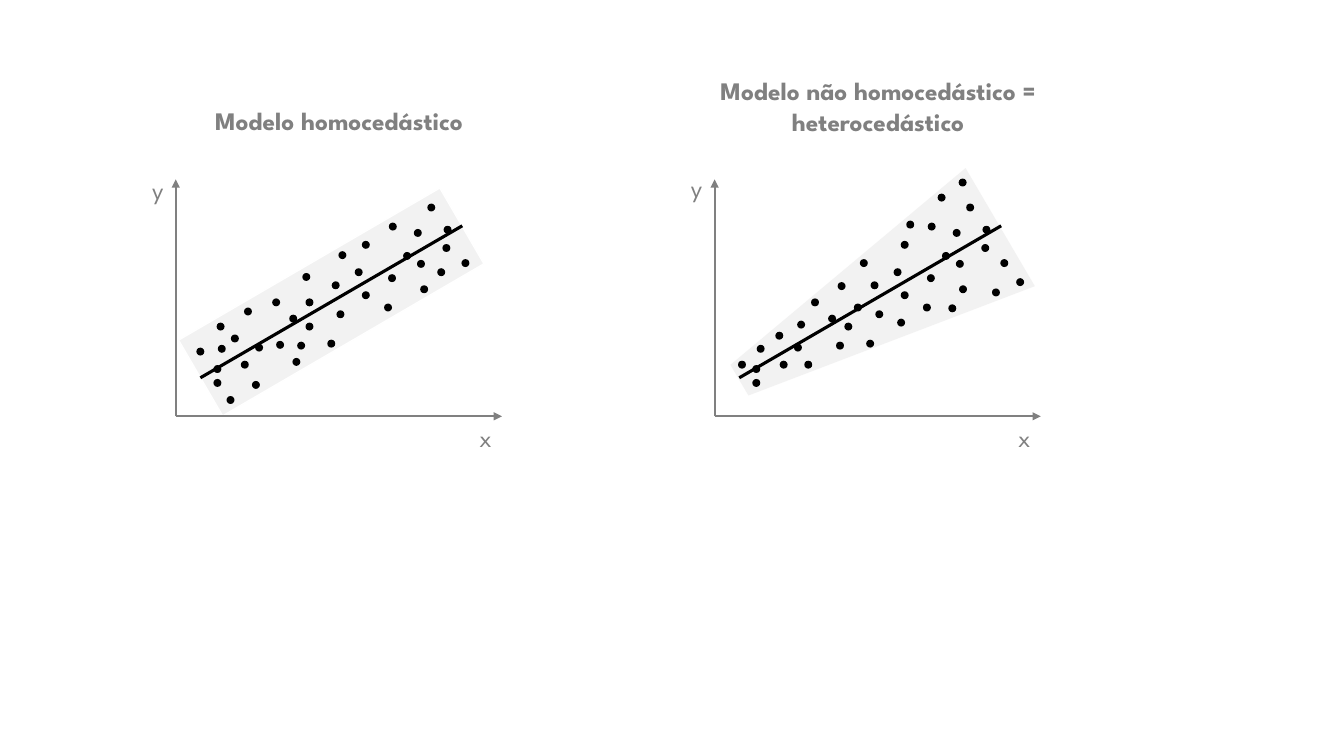
from dataclasses import dataclass

from lxml.etree import SubElement
from pptx import Presentation
from pptx.dml.color import RGBColor
from pptx.enum.shapes import MSO_CONNECTOR, MSO_SHAPE
from pptx.enum.text import MSO_AUTO_SIZE, PP_ALIGN
from pptx.oxml.ns import qn
from pptx.util import Cm, Pt

GRAY = RGBColor(0x80, 0x80, 0x80)
BLACK = RGBColor(0, 0, 0)
WHITE = RGBColor(0xFF, 0xFF, 0xFF)
BAND_GRAY = RGBColor(0xE7, 0xE6, 0xE6)
FONT = "League Spartan"

Point = tuple[float, float]

AXIS_Y = 10.49  # height of both x axes on the slide, in cm
DOT = 0.2
LABEL_W, LABEL_H = 1.22, 1.02

# Dot centres in cm: right of the origin, above the x axis
SHARED_DOTS: list[Point] = [
    (6.44, 5.26), (6.10, 4.62), (6.82, 4.24), (7.30, 3.86), (5.47, 4.78),
    (6.18, 3.84), (6.26, 3.20), (4.61, 3.63), (5.35, 2.74), (5.45, 3.48),
    (4.03, 3.30), (4.79, 3.05), (3.92, 1.83), (4.15, 2.57), (2.53, 2.87),
    (3.37, 2.26), (1.05, 1.19), (1.05, 0.84), (1.74, 1.30), (1.16, 1.70),
    (3.16, 1.78), (2.96, 2.46), (2.10, 1.73), (6.85, 4.70), (5.83, 4.04),
    (4.79, 4.32),
]
EVEN_DOTS: list[Point] = [
    (4.20, 4.06), (3.29, 3.51), (3.37, 2.87), (1.82, 2.64), (2.02, 0.79),
    (1.13, 2.26), (1.49, 1.96), (2.63, 1.80), (0.62, 1.63), (1.38, 0.41),
    (3.04, 1.37), (6.69, 3.63),
]
SPREADING_DOTS: list[Point] = [
    (3.20, 3.28), (2.18, 2.31), (5.99, 2.72), (6.25, 5.89), (1.63, 2.03),
    (7.70, 3.38), (7.09, 3.12), (4.70, 2.36), (2.36, 1.30), (5.72, 5.51),
    (4.93, 4.83), (3.76, 3.86), (3.61, 2.74), (0.69, 1.30),
]


@dataclass
class Band:
    kind: MSO_SHAPE
    center: Point
    width: float
    height: float
    rotation: float
    adjustment: float | None = None
    outlined: bool = False


@dataclass
class Heading:
    text: str
    left: float
    top: float
    width: float
    height: float


@dataclass
class Plot:
    origin_x: float
    y_label_top: float
    heading: Heading
    band: Band
    dots: list[Point]

    def at(self, x: float, y: float) -> tuple[Cm, Cm]:
        return Cm(self.origin_x + x), Cm(AXIS_Y - y)


PLOTS = [
    Plot(4.43, 6.22,
         Heading("Modelo homocedástico", 0, 7.95, 8.23, 1.02),
         Band(MSO_SHAPE.RECTANGLE, (3.92, 2.88), 7.62, 2.21, 329.8, outlined=True),
         SHARED_DOTS + EVEN_DOTS),
    Plot(18.01, 6.27,
         Heading("Modelo não homocedástico = heterocedástico", -0.2, 8.71, 8.64, 1.8),
         Band(MSO_SHAPE.TRAPEZOID, (3.91, 2.84), 3.45, 7.62, 239.6, 0.37),
         SHARED_DOTS + SPREADING_DOTS),
]


def add_filled(slide, plot: Plot, kind: MSO_SHAPE, center: Point,
               width: float, height: float, color: RGBColor):
    left, top = plot.at(center[0] - width / 2, center[1] + height / 2)
    sp = slide.shapes.add_shape(kind, left, top, Cm(width), Cm(height))
    sp.shadow.inherit = False
    sp.fill.solid()
    sp.fill.fore_color.rgb = color
    sp.line.fill.background()
    return sp


def add_band(slide, plot: Plot) -> None:
    band = plot.band
    sp = add_filled(slide, plot, band.kind, band.center, band.width, band.height, BAND_GRAY)
    sp.rotation = band.rotation
    if band.adjustment is not None:
        sp.adjustments[0] = band.adjustment
    if band.outlined:
        sp.line.color.rgb = WHITE
        sp.line.width = Pt(1)
    color = sp._element.spPr.find(qn("a:solidFill"))[0]
    SubElement(color, qn("a:alpha")).set("val", "51000")


def add_line(slide, plot: Plot, start: Point, end: Point, color: RGBColor,
             width: float, arrow: bool = False) -> None:
    cxn = slide.shapes.add_connector(
        MSO_CONNECTOR.STRAIGHT, *plot.at(*start), *plot.at(*end))
    cxn.line.color.rgb = color
    cxn.line.width = Pt(width)
    if arrow:
        SubElement(cxn.line._get_or_add_ln(), qn("a:tailEnd")).set("type", "triangle")
    SubElement(cxn._element.spPr, qn("a:effectLst"))


def add_text(slide, plot: Plot, text: str, corner: Point, width: float,
             height: float, align: PP_ALIGN, bold: bool = False) -> None:
    sp = slide.shapes.add_textbox(*plot.at(*corner), Cm(width), Cm(height))
    tf = sp.text_frame
    tf.word_wrap = True
    tf.auto_size = MSO_AUTO_SIZE.SHAPE_TO_FIT_TEXT
    tf.text = text
    p = tf.paragraphs[0]
    p.alignment = align
    font = p.runs[0].font
    font.name, font.size, font.bold = FONT, Pt(18), bold
    font.color.rgb = GRAY


def draw_plot(slide, plot: Plot) -> None:
    add_band(slide, plot)

    # Axes and regression line
    add_line(slide, plot, (0, 0), (0, 5.97), GRAY, 1.5, arrow=True)
    add_line(slide, plot, (0, 0), (8.22, 0), GRAY, 1.5, arrow=True)
    add_line(slide, plot, (0.62, 0.97), (7.22, 4.8), BLACK, 2.25)

    # Observations
    for center in plot.dots:
        add_filled(slide, plot, MSO_SHAPE.OVAL, center, DOT, DOT, BLACK)

    # Axis labels and heading
    add_text(slide, plot, "y", (-1.28, plot.y_label_top), LABEL_W, LABEL_H, PP_ALIGN.RIGHT)
    add_text(slide, plot, "x", (7.4, -0.03), LABEL_W, LABEL_H, PP_ALIGN.LEFT)
    h = plot.heading
    add_text(slide, plot, h.text, (h.left, h.top), h.width, h.height,
             PP_ALIGN.CENTER, bold=True)


def main() -> None:
    prs = Presentation()
    prs.slide_width, prs.slide_height = Cm(33.87), Cm(19.05)
    slide = prs.slides.add_slide(prs.slide_layouts[6])
    for plot in PLOTS:
        draw_plot(slide, plot)
    prs.save("out.pptx")


if __name__ == "__main__":
    main()
